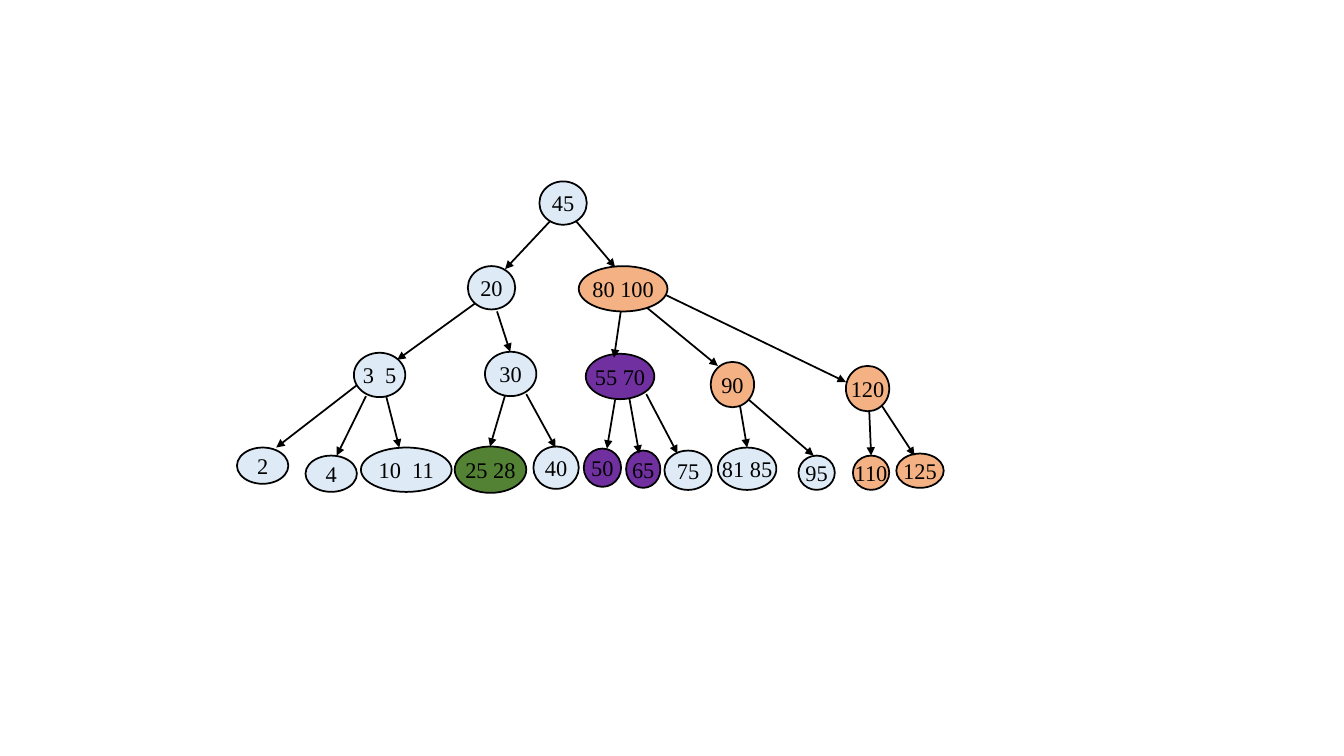
import pptx
import pptx.util
import pptx.dml.color
import pptx.enum.shapes
import pptx.enum.text
import pptx.oxml
import pptx.oxml.ns
from pptx.util import Inches

BLACK = "000000"
BLUE = "DEEBF7"
ORANGE = "F4B183"
PURPLE = "7030A0"
GREEN = "548235"

# Keys, fill, (left, top, width, height)
LEAVES = [
    ("2", BLUE, (2.35, 4.44, 0.51, 0.36)),
    ("4", BLUE, (3.03, 4.52, 0.51, 0.36)),
    ("10  11", BLUE, (3.58, 4.44, 0.9, 0.44)),
    ("25 28", GREEN, (4.51, 4.43, 0.71, 0.46)),
    ("40", BLUE, (5.29, 4.43, 0.45, 0.42)),
    ("50", PURPLE, (5.79, 4.45, 0.37, 0.38)),
    ("65", PURPLE, (6.21, 4.47, 0.34, 0.37)),
    ("75", BLUE, (6.59, 4.47, 0.47, 0.39)),
    ("81 85", BLUE, (7.12, 4.44, 0.58, 0.42)),
    ("95", BLUE, (7.92, 4.52, 0.36, 0.34)),
    ("110", ORANGE, (8.46, 4.52, 0.36, 0.34)),
    ("125", ORANGE, (8.89, 4.5, 0.47, 0.34)),
]

# Keys, fill, box, arrows to the children; children come before their parent
PARENTS = [
    ("3  5", BLUE, (3.51, 3.5, 0.51, 0.44),
     [(3.58, 3.79, 2.74, 4.44), (3.63, 3.93, 3.34, 4.52), (3.83, 3.93, 3.96, 4.44)]),
    ("30", BLUE, (4.81, 3.49, 0.51, 0.44),
     [(5.01, 3.92, 4.86, 4.43), (5.22, 3.91, 5.51, 4.44)]),
    ("55 70", PURPLE, (5.81, 3.51, 0.68, 0.45),
     [(6.1, 3.97, 6.02, 4.45), (6.24, 3.94, 6.34, 4.5), (6.41, 3.91, 6.72, 4.5)]),
    ("90", ORANGE, (7.05, 3.59, 0.43, 0.45),
     [(7.33, 3.97, 7.41, 4.44), (7.42, 3.96, 8.07, 4.52)]),
    ("120", ORANGE, (8.39, 3.63, 0.43, 0.45),
     [(8.62, 4.04, 8.64, 4.52), (8.71, 3.97, 9.07, 4.52)]),
    ("20", BLUE, (4.64, 2.64, 0.47, 0.43),
     [(4.74, 2.99, 3.94, 3.57), (4.93, 3.09, 5.06, 3.49)]),
    ("80 100", ORANGE, (5.74, 2.64, 0.88, 0.45),
     [(6.16, 3.07, 6.09, 3.55), (6.34, 2.99, 7.12, 3.63), (6.61, 2.93, 8.39, 3.79)]),
    ("45", BLUE, (5.35, 1.8, 0.47, 0.43),
     [(5.46, 2.19, 5.01, 2.67), (5.71, 2.19, 6.1, 2.65)]),
]


def color(value):
    return pptx.dml.color.RGBColor.from_string(value)


def style_line(line):
    line.color.rgb = color(BLACK)
    line.width = pptx.util.Pt(1.25)


def write_text(shape, text, size=16, font="Times New Roman", fill=BLACK):
    frame = shape.text_frame
    frame.word_wrap = False
    frame.vertical_anchor = pptx.enum.text.MSO_ANCHOR.MIDDLE
    para = frame.paragraphs[0]
    para.alignment = pptx.enum.text.PP_ALIGN.CENTER
    span = para.add_run()
    span.text = text
    span.font.size = pptx.util.Pt(size)
    span.font.name = font
    span.font.color.rgb = color(fill)


def add_node(page, keys, fill, box):
    node = page.shapes.add_shape(
        pptx.enum.shapes.MSO_SHAPE.OVAL, *[Inches(length) for length in box])
    node.shadow.inherit = False
    node.fill.solid()
    node.fill.fore_color.rgb = color(fill)
    style_line(node.line)
    write_text(node, keys)


def add_arrow(page, ends):
    arrow = page.shapes.add_connector(
        pptx.enum.shapes.MSO_CONNECTOR.STRAIGHT, *[Inches(place) for place in ends])
    style_line(arrow.line)
    head = pptx.oxml.parse_xml(
        f'<a:tailEnd {pptx.oxml.ns.nsdecls("a")} type="triangle"/>')
    arrow.line._get_or_add_ln().append(head)
    no_effects = pptx.oxml.parse_xml(f'<a:effectLst {pptx.oxml.ns.nsdecls("a")}/>')
    arrow._element.spPr.append(no_effects)


def main():
    deck = pptx.Presentation()
    deck.slide_width = Inches(13.33)
    deck.slide_height = Inches(7.5)
    page = deck.slides.add_slide(deck.slide_layouts.get_by_name("Blank"))
    for keys, fill, box in LEAVES:
        add_node(page, keys, fill, box)
    # Arrowheads lie over the children, arrow starts under the parent
    for keys, fill, box, arrows in PARENTS:
        for ends in arrows:
            add_arrow(page, ends)
        add_node(page, keys, fill, box)
    deck.save("out.pptx")


if __name__ == "__main__":
    main()
